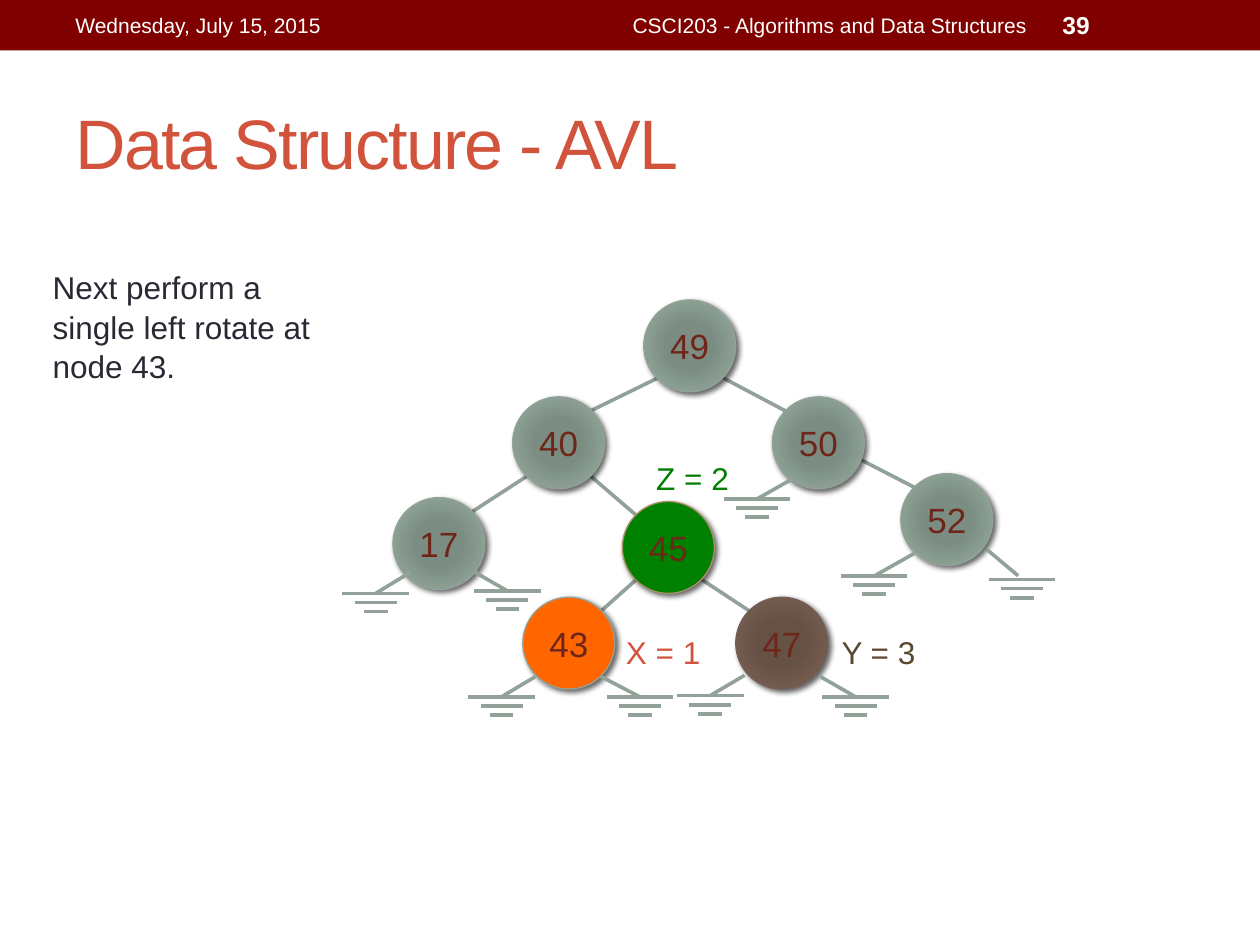
from dataclasses import dataclass

from pptx import Presentation
from pptx.dml.color import RGBColor
from pptx.enum.shapes import MSO_CONNECTOR, MSO_SHAPE
from pptx.enum.text import MSO_ANCHOR, PP_ALIGN
from pptx.oxml import parse_xml
from pptx.oxml.ns import nsdecls
from pptx.util import Pt


@dataclass(frozen=True)
class Theme:
    font: str = "Arial"
    band: str = "800000"
    white: str = "FFFFFF"
    accent: str = "D2533C"
    body: str = "292934"
    sage: str = "93A299"
    brown: str = "726056"
    tan: str = "AD8F67"
    green: str = "008000"
    orange: str = "FF6600"
    olive: str = "5A4830"
    key: str = "6E2619"
    sage_stops: tuple = ("7B8E82", "7B8D83", "8A9E92", "93A299")
    brown_stops: tuple = ("685044", "665145", "725A4D", "726056")
    title_size: float = 40
    key_size: float = 20
    body_size: float = 18
    page_size: float = 14
    header_size: float = 12
    edge_width: float = 2.08
    outline_width: float = 0.75


THEME = Theme()
DIAMETER = 52.5
BAR_WIDTHS = (38, 24, 13.6)
BAR_GAP = 5.2

NODES = {
    "49": (171.9, 0.4), "40": (97, 55.8), "50": (245.4, 55.8),
    "17": (28.6, 113.4), "45": (159.7, 115.6), "52": (318.8, 99.7),
    "43": (102.8, 170.3), "47": (224.5, 170.3),
}
NODE_STYLES = {
    "45": (THEME.green, THEME.tan),
    "43": (THEME.orange, THEME.sage),
    "47": (THEME.brown_stops, THEME.brown),
}
EDGES = [
    (181.3, 44.3, 141.7, 63.7), (217.3, 45, 252.6, 63.7),
    (286.4, 86.8, 326.7, 107.6), (105, 101.2, 74, 121.3),
    (141.7, 101.2, 167.6, 123.5), (167.6, 160.2, 147.4, 178.2),
    (205, 160.2, 232.4, 178.2),
]
GROUNDS = [
    (326.7, 145.1, 303.5, 158.2), (367.8, 142.9, 385.8, 158, 2.2),
    (38.7, 155.9, 18.7, 168.1), (74, 155.2, 94, 166.7),
    (110, 215.6, 90.6, 227.2), (147.4, 215.6, 169.6, 227.2),
    (229.5, 214.9, 209.9, 226.5), (272.7, 215.6, 292.9, 227.2),
    (256.9, 102.6, 236.7, 114.1),
]
LABELS = [
    ("X = 1", 154.6, 186.1, THEME.accent),
    ("Y = 3", 277.8, 186.1, THEME.olive),
    ("Z = 2", 171.9, 86.8, THEME.green),
]


def assign(target, values):
    for name, value in values.items():
        setattr(target, name, value)


def write(frame, text, size, color, align=PP_ALIGN.LEFT, bold=False,
          anchor=MSO_ANCHOR.MIDDLE, wrap=True, spacing=1.0):
    assign(frame, {"word_wrap": wrap, "vertical_anchor": anchor})
    paragraph = frame.paragraphs[0]
    assign(paragraph, {"alignment": align, "line_spacing": spacing})
    run = paragraph.add_run()
    run.text = text
    assign(run.font, {"name": THEME.font, "size": Pt(size), "bold": bold})
    run.font.color.rgb = RGBColor.from_string(color)
    return run


def add_text(slide, box, text, size, color, **layout):
    frame = slide.shapes.add_textbox(*map(Pt, box)).text_frame
    return write(frame, text, size, color, **layout)


def add_edge(slide, *ends):
    edge = slide.shapes.add_connector(MSO_CONNECTOR.STRAIGHT, *map(Pt, ends))
    edge.line.color.rgb = RGBColor.from_string(THEME.sage)
    edge.line.width = Pt(THEME.edge_width)
    edge._element.spPr.append(parse_xml(f"<a:effectLst {nsdecls('a')}/>"))


def radial_fill(colors):
    stops = "".join(
        f'<a:gs pos="{pos}000"><a:srgbClr val="{color}"/></a:gs>'
        for pos, color in zip((0, 34, 70, 100), colors))
    return parse_xml(
        f'<a:gradFill {nsdecls("a")} rotWithShape="1"><a:gsLst>{stops}</a:gsLst>'
        '<a:path path="circle"><a:fillToRect l="100000" t="100000" '
        'r="100000" b="100000"/></a:path></a:gradFill>')


def add_node(slide, left, top, key):
    fill, outline = NODE_STYLES.get(key, (THEME.sage_stops, THEME.sage))
    node = slide.shapes.add_shape(
        MSO_SHAPE.OVAL, *map(Pt, (left, top, DIAMETER, DIAMETER)))
    properties = node._element.spPr
    if isinstance(fill, tuple):
        properties.insert(2, radial_fill(fill))
    else:
        node.fill.solid()
        node.fill.fore_color.rgb = RGBColor.from_string(fill)
    node.line.color.rgb = RGBColor.from_string(outline)
    node.line.width = Pt(THEME.outline_width)
    node.shadow.inherit = False
    properties[-1].append(parse_xml(
        f'<a:outerShdw {nsdecls("a")} blurRad="{Pt(3)}" dist="{Pt(2)}" '
        'dir="2700000" rotWithShape="0"><a:srgbClr val="000000">'
        '<a:alpha val="60000"/></a:srgbClr></a:outerShdw>'))
    write(node.text_frame, key, THEME.key_size, THEME.key,
          align=PP_ALIGN.CENTER)


def add_ground(slide, x1, y1, x2, y2, shift=0):
    add_edge(slide, x1, y1, x2, y2)
    for row, width in enumerate(BAR_WIDTHS):
        center, y = x2 + shift, y2 + shift + row * BAR_GAP
        add_edge(slide, center - width / 2, y, center + width / 2, y)


def add_header(slide, box):
    left, top, width, height = box
    band = slide.shapes.add_shape(MSO_SHAPE.RECTANGLE, *map(Pt, box))
    band.shadow.inherit = False
    band.fill.solid()
    band.fill.fore_color.rgb = RGBColor.from_string(THEME.band)
    band.line.fill.background()
    entries = [
        (36, 228, "Wednesday, July 15, 2015", THEME.header_size, {}),
        (270, 324, "CSCI203 - Algorithms and Data Structures",
         THEME.header_size, {"align": PP_ALIGN.RIGHT}),
        (600, 84, "39", THEME.page_size, {"bold": True}),
    ]
    for offset, span, text, size, layout in entries:
        add_text(slide, (left + offset, top + 1.5, span, height - 3),
                 text, size, THEME.white, **layout)


def add_title(slide, box):
    title = add_text(slide, box, "Data Structure - AVL",
                     THEME.title_size, THEME.accent)
    title.font._element.set("spc", "-100")


def add_instruction(slide, box):
    add_text(slide, box, "Next perform a single left rotate at node 43.",
             THEME.body_size, THEME.body, anchor=MSO_ANCHOR.TOP, spacing=1.05)


def add_tree(slide, box):
    left, top = box[:2]
    for x1, y1, x2, y2 in EDGES:
        add_edge(slide, left + x1, top + y1, left + x2, top + y2)
    for key, (x, y) in NODES.items():
        add_node(slide, left + x, top + y, key)
    for x1, y1, x2, y2, *shift in GROUNDS:
        add_ground(slide, left + x1, top + y1, left + x2, top + y2, *shift)
    for text, x, y, color in LABELS:
        add_text(slide, (left + x, top + y, 57, 29), text, THEME.body_size,
                 color, anchor=MSO_ANCHOR.TOP, wrap=False, spacing=1.05)


def main():
    deck = Presentation()
    assign(deck, {"slide_width": Pt(720), "slide_height": Pt(540)})
    slide = deck.slides.add_slide(deck.slide_layouts[6])
    add_header(slide, (0, 0, 720, 28.8))
    add_title(slide, (36, 42, 648, 78))
    add_instruction(slide, (23, 148.5, 179, 73))
    add_tree(slide, (196, 171, 407, 239))
    deck.save("out.pptx")


if __name__ == "__main__":
    main()
